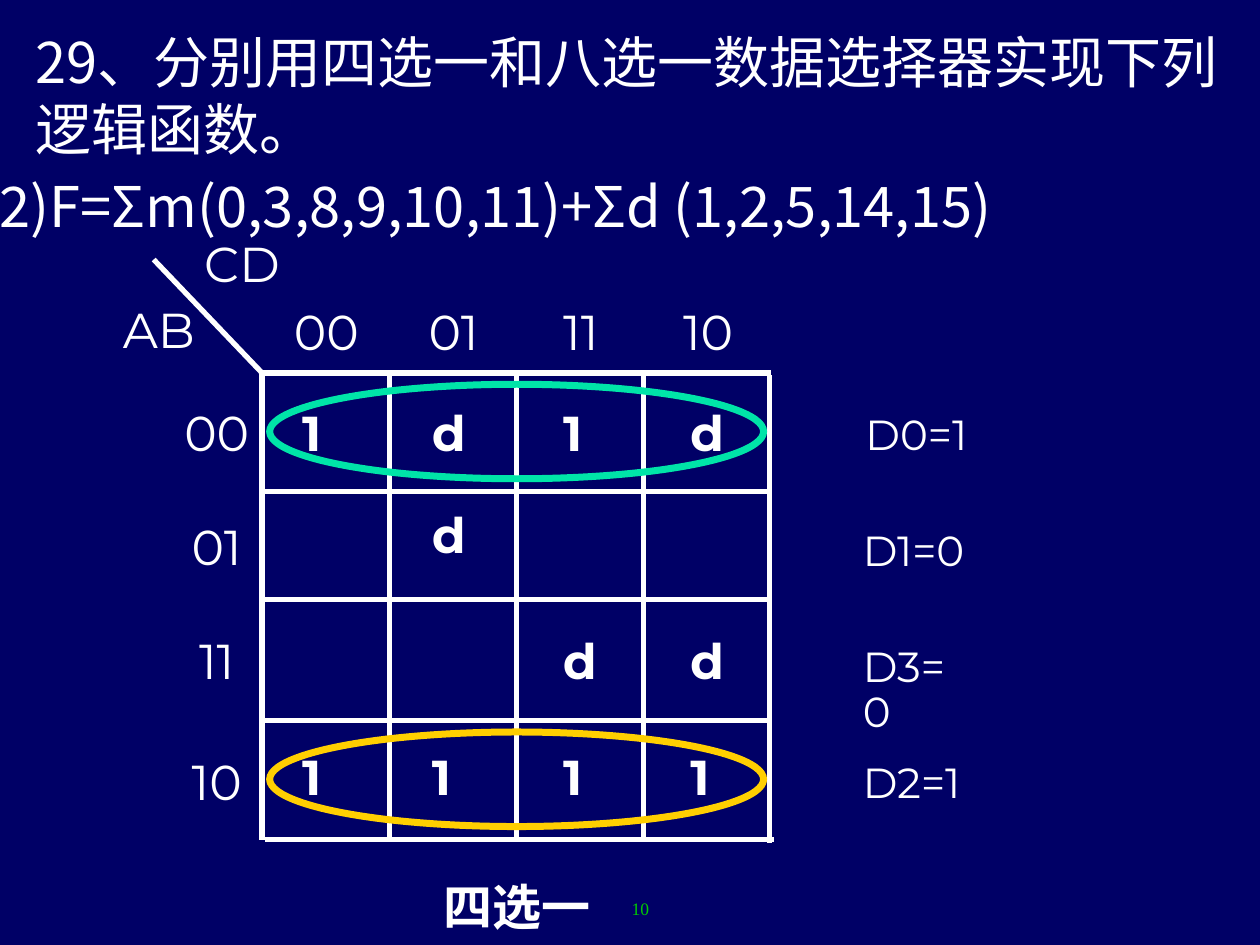
from dataclasses import dataclass, field

import lxml.etree
import pptx
import pptx.dml.color
import pptx.enum.shapes
import pptx.enum.text
import pptx.oxml.ns
import pptx.util

Inches = pptx.util.Inches
Pt = pptx.util.Pt
RGBColor = pptx.dml.color.RGBColor
Align = pptx.enum.text.PP_ALIGN
Anchor = pptx.enum.text.MSO_ANCHOR
AutoSize = pptx.enum.text.MSO_AUTO_SIZE
qn = pptx.oxml.ns.qn

NAVY = RGBColor(0x00, 0x00, 0x66)
WHITE = RGBColor(0xFF, 0xFF, 0xFF)
GREEN = RGBColor(0x00, 0xCC, 0x00)
TEAL = RGBColor(0x00, 0xE4, 0xA8)
GOLD = RGBColor(0xFF, 0xCF, 0x01)
LATIN = "Montserrat"
CJK = "Noto Sans CJK SC"

GROW = {"auto_size": AutoSize.SHAPE_TO_FIT_TEXT}
NO_WRAP = {"word_wrap": False, **GROW}
CENTRED = {"vertical_anchor": Anchor.MIDDLE, "margin_left": Inches(0.01),
           "margin_right": 0, "margin_top": 0, "margin_bottom": 0}
LABEL_PARA = {"alignment": Align.CENTER, "space_before": Pt(7)}
CELL_PARA = {"line_spacing": 0.9, "space_before": Pt(7)}
OUTPUT_PARA = {"line_spacing": 0.9, "space_before": Pt(6)}


@dataclass
class Label:
    text: str
    left: float
    top: float
    width: float
    height: float
    size: int = 28
    font: str = LATIN
    color: RGBColor = WHITE
    bold: bool = False
    frame: dict = field(default_factory=dict)
    para: dict = field(default_factory=dict)


@dataclass
class Segment:
    x1: float
    y1: float
    x2: float
    y2: float


@dataclass
class Loop:
    top: float
    color: RGBColor


def apply(target: object, values: dict) -> None:
    for name, value in values.items():
        setattr(target, name, value)


def draw_label(s, label: Label) -> None:
    sp = s.shapes.add_textbox(Inches(label.left), Inches(label.top),
                              Inches(label.width), Inches(label.height))
    tf = sp.text_frame
    apply(tf, {"word_wrap": True, "auto_size": AutoSize.NONE, **label.frame})
    p = tf.paragraphs[0]
    apply(p, label.para)
    r = p.add_run()
    r.text = label.text
    apply(r.font, {"size": Pt(label.size), "name": label.font, "bold": label.bold})
    r.font.color.rgb = label.color
    ea = lxml.etree.SubElement(r.font._element, qn("a:ea"))
    ea.set("typeface", label.font)


def draw_segment(s, seg: Segment) -> None:
    line = s.shapes.add_connector(
        pptx.enum.shapes.MSO_CONNECTOR.STRAIGHT,
        Inches(seg.x1), Inches(seg.y1), Inches(seg.x2), Inches(seg.y2))
    line.line.color.rgb = WHITE
    line.line.width = Pt(3)
    lxml.etree.SubElement(line._element.spPr, qn("a:effectLst"))


def draw_loop(s, loop: Loop) -> None:
    sp = s.shapes.add_shape(pptx.enum.shapes.MSO_SHAPE.OVAL, Inches(2.14),
                            Inches(loop.top), Inches(3.92), Inches(0.75))
    sp.shadow.inherit = False
    sp.fill.background()
    sp.line.color.rgb = loop.color
    sp.line.width = Pt(4)


GRAY_CODE = ("00", "01", "11", "10")
COL_STEP = 1.01
COLS = [2.08 + COL_STEP * i for i in range(5)]
ROWS = [2.96, 3.9, 4.76, 5.72, 6.67]
MAP_ROWS = ("1d1d", " d  ", "  dd", "1111")
CELL_LEFTS = (2.3, 3.33, 4.37, 5.38)
CELL_TOPS = (3.2, 4.01, 5.01, 5.93)
CELL_WIDTHS = {"1": 0.42, "d": 0.44}

axis = {"frame": CENTRED, "para": LABEL_PARA}
labels = [
    Label("10", 4.5, 7.08, 0.75, 0.25, 10, "Times New Roman", GREEN,
          para={"alignment": Align.RIGHT}),
    Label("(2)F=Σm(0,3,8,9,10,11)+Σd (1,2,5,14,15)", -0.25, 1.31, 10.65, 0.64,
          32, CJK, frame=NO_WRAP),
    Label("CD", 1.44, 1.78, 0.95, 0.62, **axis),
    Label("AB", 0.78, 2.3, 0.95, 0.62, **axis),
    Label("四选一", 3.42, 6.96, 1.5, 0.52, font=CJK, bold=True,
          para=CELL_PARA),
    Label("29、分别用四选一和八选一数据选择器实现下列逻辑函数。", 0.18, 0.17,
          9.62, 1.17, 32, CJK, frame=GROW),
]
for i, code in enumerate(GRAY_CODE):
    labels.append(Label(code, COLS[i], 2.3, COL_STEP, 0.66, **axis))
    labels.append(Label(code, 1.35, ROWS[i], 0.73, ROWS[i + 1] - ROWS[i], **axis))

for top, values in zip(CELL_TOPS, MAP_ROWS):
    for left, value in zip(CELL_LEFTS, values):
        if value in CELL_WIDTHS:
            labels.append(Label(value, left, top, CELL_WIDTHS[value], 0.52,
                                bold=True, frame=NO_WRAP, para=CELL_PARA))

for i, output in enumerate(("D0=1", "D1=0", "D3=0", "D2=1")):
    labels.append(Label(output, 6.77 if i == 0 else 6.75, 3.24 + 0.92 * i,
                        1.01, 0.46, 24, frame=GROW, para=OUTPUT_PARA))

segments = [Segment(1.22, 2.06, COLS[0], ROWS[0])]
segments += [Segment(x, ROWS[0], x, ROWS[-1]) for x in COLS[:-1]]
segments += [Segment(COLS[0], y, COLS[-1], y) for y in ROWS[:-1]]
segments += [Segment(2.1, 6.66, 6.14, 6.66), Segment(6.11, 2.98, 6.11, 6.69)]

prs = pptx.Presentation()
prs.slide_width = Inches(10)
prs.slide_height = Inches(7.5)
s = prs.slides.add_slide(prs.slide_layouts[6])
s.background.fill.solid()
s.background.fill.fore_color.rgb = NAVY

for segment in segments:
    draw_segment(s, segment)
for label in labels:
    draw_label(s, label)
for loop in (Loop(3.05, TEAL), Loop(5.81, GOLD)):
    draw_loop(s, loop)

prs.save("out.pptx")
